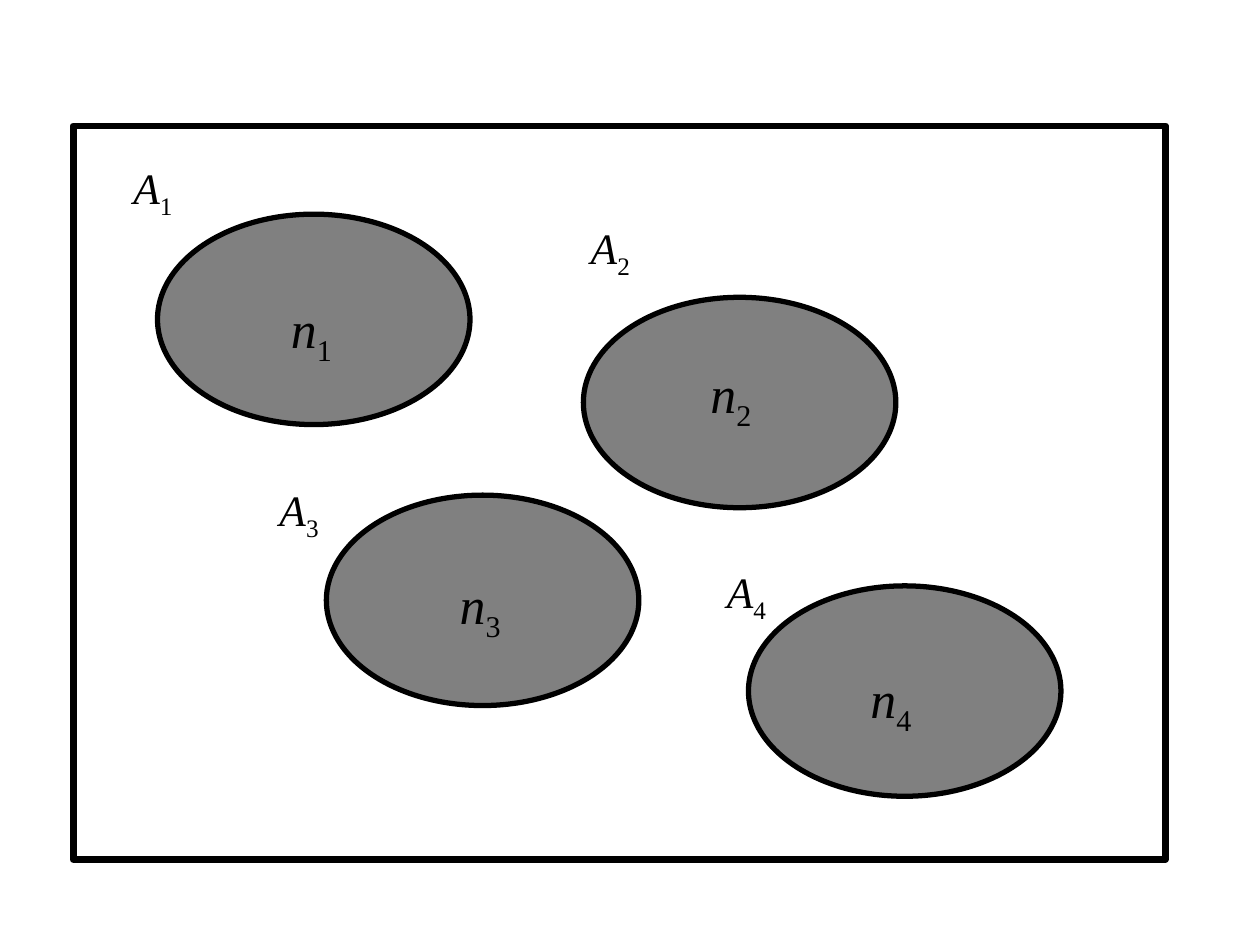
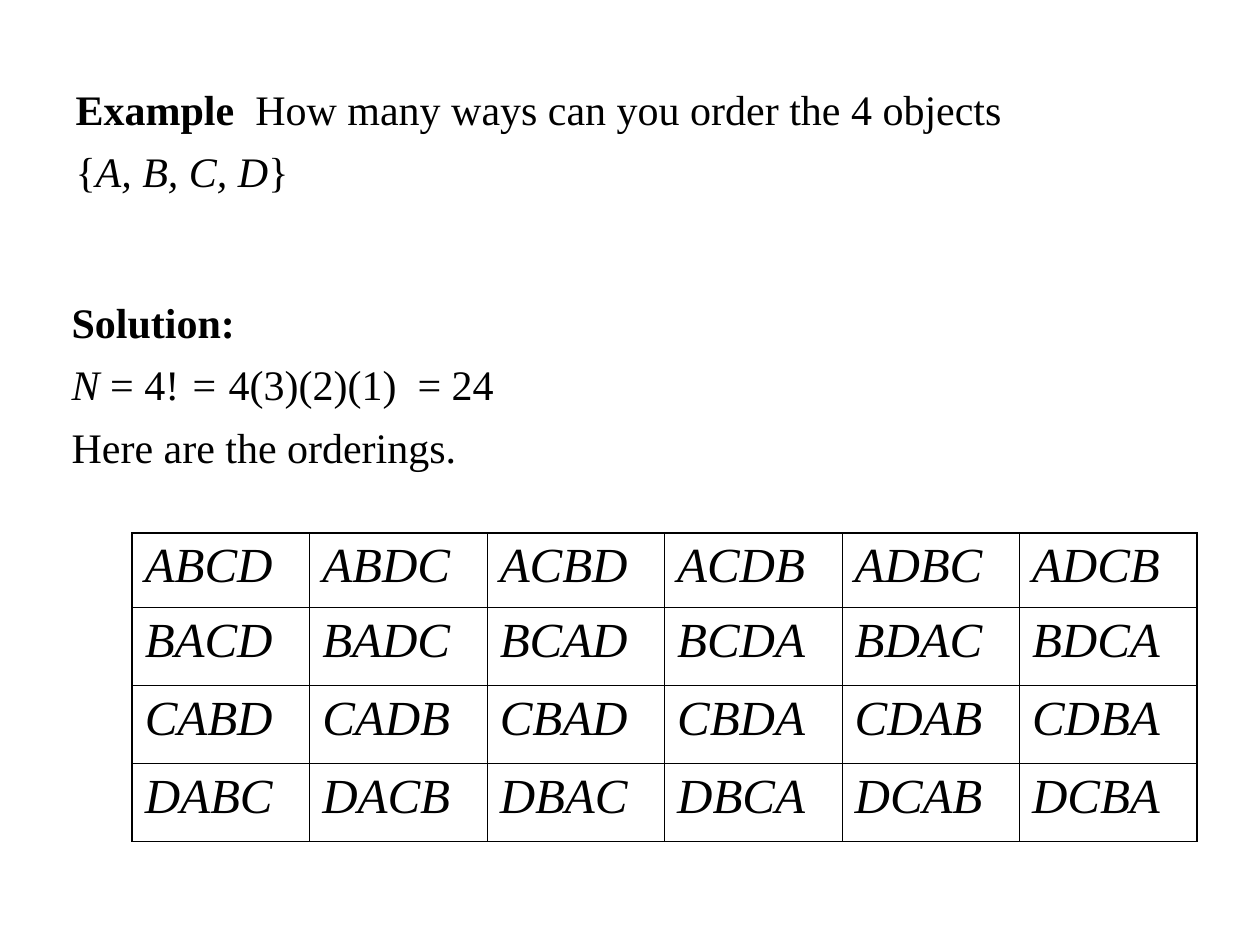
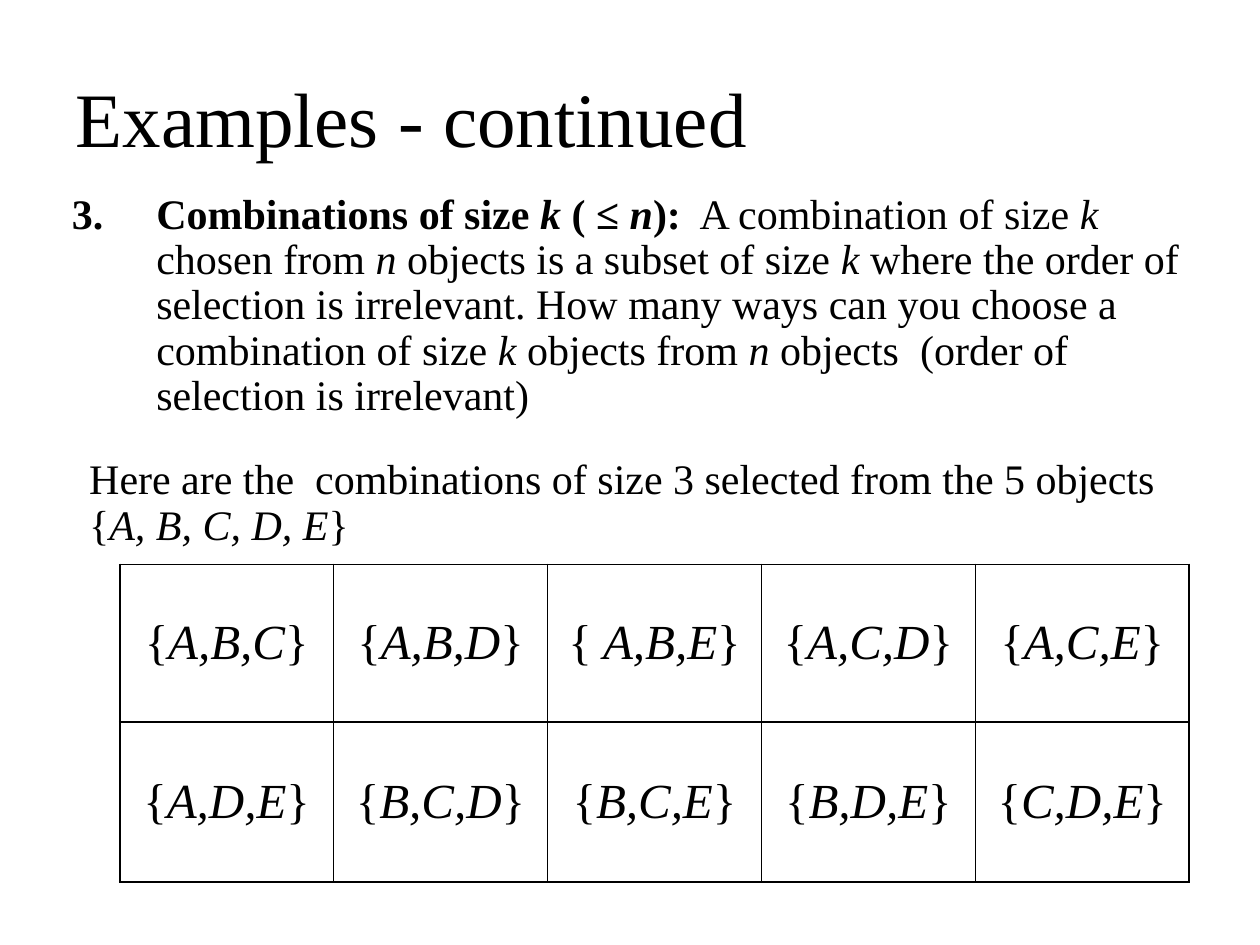
from itertools import combinations, permutations
from typing import NamedTuple

from lxml import etree
from pptx import Presentation
from pptx.dml.color import RGBColor
from pptx.enum.shapes import MSO_SHAPE
from pptx.enum.text import MSO_ANCHOR, MSO_AUTO_SIZE, PP_ALIGN
from pptx.oxml.ns import qn
from pptx.util import Inches, Pt

RECTANGLE, OVAL = MSO_SHAPE.RECTANGLE, MSO_SHAPE.OVAL
LEFT, CENTER = PP_ALIGN.LEFT, PP_ALIGN.CENTER
TOP, MIDDLE = MSO_ANCHOR.TOP, MSO_ANCHOR.MIDDLE
NO_AUTOFIT = MSO_AUTO_SIZE.NONE

FONT = "Times New Roman"
INK, SET_FILL = "000000", "808080"
TITLE_SIZE, BODY_SIZE, TABLE_SIZE = 44, 24, 28
THICK, THIN = 1.08, 0.45
COLUMNS, ROWS = 100, 75
GRID = Inches(10) // COLUMNS
CONTENT_LAYOUT, BLANK_LAYOUT = 1, 6


class Box(NamedTuple):
    """Place on the grid of 100 columns by 75 rows."""
    column: float
    row: float
    width: float
    height: float

    def lengths(self) -> tuple[int, ...]:
        return tuple(round(value * GRID) for value in self)


class Span(NamedTuple):
    """Text with style letters: b bold, i italic, s subscript."""
    text: str
    style: str = ""


class Style(NamedTuple):
    size: float = BODY_SIZE
    line_spacing: float = 1.0
    gap: float = 7
    align: int = LEFT
    margin: float = 0
    indent: float = 0
    level: int = 0
    number: int = 0


class VennSet(NamedTuple):
    index: int
    oval: tuple[float, float]
    name: tuple[float, float]
    count: tuple[float, float]


VENN_SETS = [
    VennSet(1, (12.5, 17), (9.6, 11.8), (22.1, 22.2)),
    VennSet(2, (46.3, 23.6), (45.9, 16.6), (55.4, 27.4)),
    VennSet(3, (25.9, 39.3), (21.2, 37.4), (35.5, 44.1)),
    VennSet(4, (59.4, 46.5), (56.7, 43.9), (68.1, 51.6)),
]


def color(value: str) -> RGBColor:
    return RGBColor.from_string(value)


def write(frame, paragraphs: list[list[Span]], style: Style) -> None:
    for number, spans in enumerate(paragraphs):
        para = frame.add_paragraph() if number else frame.paragraphs[0]
        properties = para._p.get_or_add_pPr()
        properties.set("marL", str(Inches(style.margin)))
        properties.set("indent", str(Inches(style.indent)))
        if style.number:
            bullet = etree.SubElement(properties, qn("a:buAutoNum"))
            bullet.set("type", "arabicPeriod")
            bullet.set("startAt", str(style.number))
        else:
            etree.SubElement(properties, qn("a:buNone"))
        para.level = style.level
        para.alignment = style.align
        para.line_spacing = style.line_spacing
        para.space_before = Pt(style.gap if number else 0)
        for span in spans:
            run = para.add_run()
            run.text = span.text
            run.font.name = FONT
            run.font.size = Pt(style.size)
            run.font.color.rgb = color(INK)
            run.font.bold = "b" in span.style
            run.font.italic = "i" in span.style
            if "s" in span.style:
                run.font._element.set("baseline", "-25000")


def fill_frame(shape, box: Box, paragraphs: list[list[Span]], style: Style,
               top_inset: float = 0.08, anchor: int = TOP) -> None:
    """Place a text box or placeholder and write its paragraphs."""
    shape.left, shape.top, shape.width, shape.height = box.lengths()
    frame = shape.text_frame
    frame.word_wrap = True
    frame.auto_size = NO_AUTOFIT
    frame.vertical_anchor = anchor
    frame.margin_left = frame.margin_right = Inches(0.1)
    frame.margin_top, frame.margin_bottom = Inches(top_inset), Inches(0.05)
    write(frame, paragraphs, style)


def add_text(page, box: Box, paragraphs: list[list[Span]], style: Style,
             top_inset: float = 0.08) -> None:
    fill_frame(page.shapes.add_textbox(*box.lengths()), box, paragraphs, style, top_inset)


def add_outline(page, kind: int, box: Box, line_width: float, fill: str = "") -> None:
    shape = page.shapes.add_shape(kind, *box.lengths())
    shape.shadow.inherit = False
    shape.line.color.rgb = color(INK)
    shape.line.width = Pt(line_width)
    if fill:
        shape.fill.solid()
        shape.fill.fore_color.rgb = color(fill)
    else:
        shape.fill.background()


def set_borders(cell, widths: dict[str, float]) -> None:
    properties = cell._tc.get_or_add_tcPr()
    for side, width in widths.items():
        line = etree.SubElement(properties, qn(f"a:ln{side}"), w=str(Pt(width)))
        fill = etree.SubElement(line, qn("a:solidFill"))
        etree.SubElement(fill, qn("a:srgbClr"), val=INK)


def add_grid_table(page, box: Box, row_heights: list[float], column_count: int,
                   entries: list[list[Span]], style: Style, anchor: int,
                   row_line: float) -> None:
    """Fill a table row by row; outer borders are thick, inner rows use row_line."""
    row_count = len(row_heights)
    table = page.shapes.add_table(row_count, column_count, *box.lengths()).table
    table.first_row = table.horz_banding = False
    for row, height in zip(table.rows, row_heights):
        row.height = round(height * GRID)
    for index, spans in enumerate(entries):
        row, column = divmod(index, column_count)
        cell = table.cell(row, column)
        set_borders(cell, {
            "L": THIN if column else THICK,
            "R": THIN if column < column_count - 1 else THICK,
            "T": row_line if row else THICK,
            "B": row_line if row < row_count - 1 else THICK,
        })
        cell.fill.background()
        cell.vertical_anchor = anchor
        write(cell.text_frame, [spans], style)


def braced(letters: str) -> list[Span]:
    return [Span("{"), Span(letters, "i"), Span("}")]


def build_venn(deck) -> None:
    page = deck.slides.add_slide(deck.slide_layouts[BLANK_LAYOUT])
    add_outline(page, RECTANGLE, Box(5.8, 10, 86.7, 58.2), 4)
    for item in VENN_SETS:
        add_outline(page, OVAL, Box(*item.oval, 24.8, 16.7), 3, SET_FILL)
    name_style = Style(size=24.8, line_spacing=0.8)
    count_style = Style(size=29.6, line_spacing=0.9)
    for item in VENN_SETS:
        subscript = Span(str(item.index), "s")
        add_text(page, Box(*item.count, 7.8, 6.8), [[Span("n", "i"), subscript]],
                 count_style, 0.14)
        add_text(page, Box(*item.name, 7.7, 6), [[Span("A", "i"), subscript]],
                 name_style, 0.14)


def build_orderings(deck) -> None:
    page = deck.slides.add_slide(deck.slide_layouts[CONTENT_LAYOUT])
    title, body = page.placeholders
    title._element.getparent().remove(title._element)
    fill_frame(body, Box(0, 5.8, 89, 10.4), [
        [Span("Example", "b"), Span("  How many ways can you order the 4 objects")],
        braced("A, B, C, D"),
    ], Style(margin=1.08, indent=-0.58, level=1))
    add_text(page, Box(4.7, 22.7, 89.8, 52.3), [
        [Span("Solution:", "b")],
        [Span("N ", "i"), Span("= 4! "), Span("= ", "i"), Span("4(3)(2)(1)  = 24")],
        [Span("Here are the orderings.")],
    ], Style())
    orderings = [[Span("".join(order), "i")] for order in permutations("ABCD")]
    add_grid_table(page, Box(10.5, 42.3, 84.5, 24.7), [5.9, 6.2, 6.2, 6.2], 6,
                   orderings, Style(size=TABLE_SIZE), TOP, THIN)


def build_combinations(deck) -> None:
    page = deck.slides.add_slide(deck.slide_layouts[CONTENT_LAYOUT])
    title, body = page.placeholders
    fill_frame(title, Box(5, 3, 90, 12.5), [[Span("Examples - continued")]],
               Style(size=TITLE_SIZE), 0.05, MIDDLE)
    k, n = Span("k ", "i"), Span("n ", "i")
    fill_frame(body, Box(4.7, 14.5, 91.7, 20.2), [[
        Span("Combinations of size ", "b"), Span("k ", "bi"), Span("( ≤ ", "b"),
        Span("n", "bi"), Span("):", "b"), Span("  A combination of size "), k,
        Span("chosen from "), n, Span("objects is a subset of size "), k,
        Span("where the order of selection is irrelevant. "
             "How many ways can you choose a combination of size "), k,
        Span("objects from "), n,
        Span("objects  (order of selection is irrelevant)"),
    ]], Style(line_spacing=0.9, margin=0.67, indent=-0.67, number=3))
    subsets = [",".join(letters) for letters in combinations("ABCDE", 3)]
    entries = [braced(subset.replace("A,B,E", " A,B,E")) for subset in subsets]
    add_grid_table(page, Box(9.5, 44.8, 84.9, 25.3), [12.5, 12.7], 5,
                   entries, Style(size=TABLE_SIZE, align=CENTER), MIDDLE, THICK)
    add_text(page, Box(6.1, 35.6, 91.7, 20.2), [
        [Span("Here are the  combinations of size 3 selected from the 5 objects "),
         *braced("A, B, C, D, E")],
    ], Style(line_spacing=0.9))


def main() -> None:
    deck = Presentation()
    deck.slide_width, deck.slide_height = COLUMNS * GRID, ROWS * GRID
    build_venn(deck)
    build_orderings(deck)
    build_combinations(deck)
    deck.save("out.pptx")


if __name__ == "__main__":
    main()
